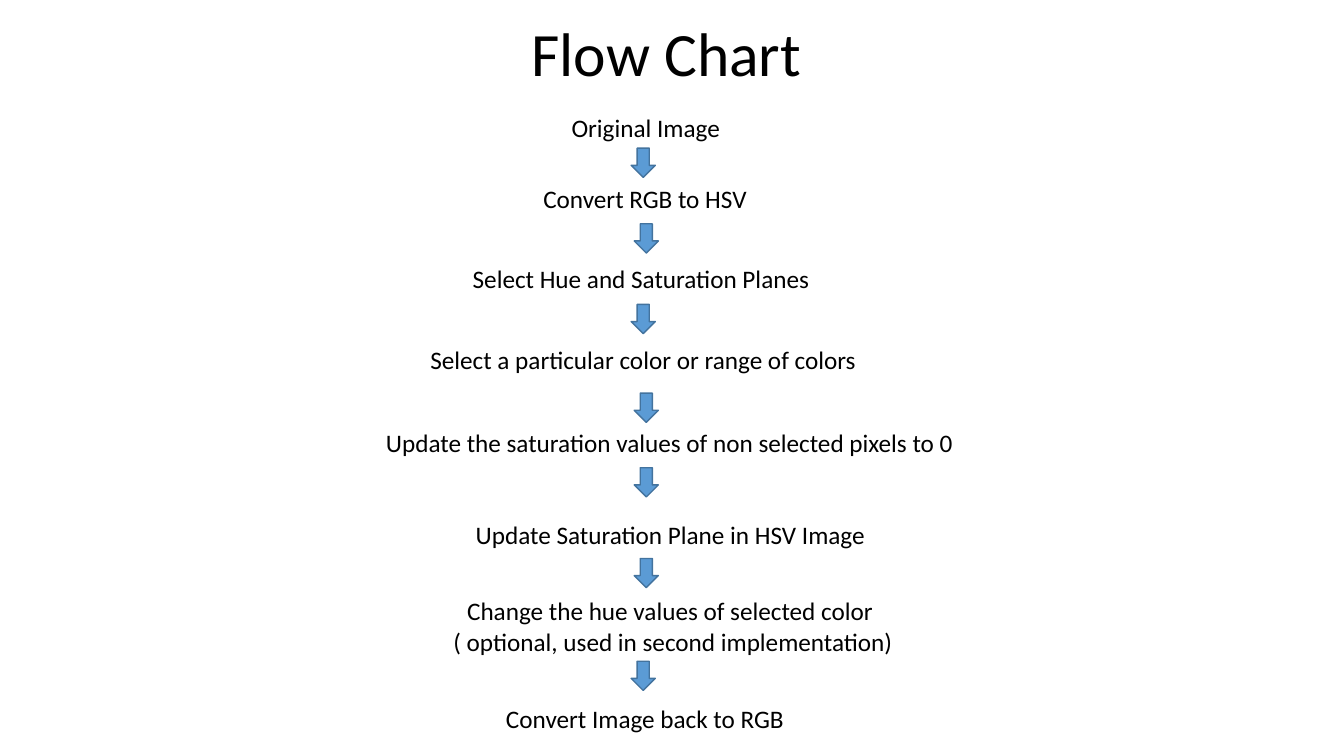
from pptx import Presentation
from pptx.dml.color import RGBColor
from pptx.enum.shapes import MSO_SHAPE
from pptx.enum.text import MSO_ANCHOR, PP_ALIGN
from pptx.util import Inches, Pt

COLORS = {"text": "000000", "arrow": "5B9BD5", "outline": "43739E"}

deck = Presentation()
deck.slide_width = Inches(13.33)
deck.slide_height = Inches(7.5)
page = deck.slides.add_slide(deck.slide_layouts[6])


def add_text(text, left, top, width, height=0.4, size=18, wrap=False,
             align=PP_ALIGN.LEFT, anchor=MSO_ANCHOR.TOP, spacing=1.0):
    box = page.shapes.add_textbox(Inches(left), Inches(top), Inches(width), Inches(height))
    frame = box.text_frame
    frame.word_wrap = wrap
    frame.vertical_anchor = anchor
    frame.text = text
    for para in frame.paragraphs:
        para.alignment = align
        para.line_spacing = spacing
        for span in para.runs:
            span.font.name = "Calibri"
            span.font.size = Pt(size)
            span.font.color.rgb = RGBColor.from_string(COLORS["text"])


add_text("Flow Chart", 0, 0, 13.22, height=1.13, size=44, wrap=True,
         align=PP_ALIGN.CENTER, anchor=MSO_ANCHOR.MIDDLE, spacing=0.9)

steps = [
    ("Original Image", 5.57, 1.07, 1.69),
    ("Convert RGB to HSV", 5.29, 1.77, 2.24),
    ("Select Hue and Saturation Planes", 4.59, 2.56, 3.64),
    ("Select a particular color or range of colors", 4.17, 3.37, 4.47),
    ("Update the saturation values of non selected pixels to 0", 3.73, 4.19, 5.9),
    ("Update Saturation Plane in HSV Image", 4.62, 5.1, 4.11),
    ("Convert Image back to RGB", 4.92, 6.93, 2.99),
]
for text, left, top, width in steps:
    add_text(text, left, top, width)

add_text("Change the hue values of selected color \n( optional, used in second implementation)",
         3.34, 5.86, 6.67, height=0.71, wrap=True, align=PP_ALIGN.CENTER)

arrows = [(6.26, 1.47), (6.29, 2.22), (6.26, 3.02), (6.29, 3.9),
          (6.29, 4.64), (6.29, 5.54), (6.26, 6.56)]
for left, top in arrows:
    arrow = page.shapes.add_shape(MSO_SHAPE.DOWN_ARROW, Inches(left), Inches(top),
                                  Inches(0.24), Inches(0.29))
    arrow.shadow.inherit = False
    arrow.fill.solid()
    arrow.fill.fore_color.rgb = RGBColor.from_string(COLORS["arrow"])
    arrow.line.color.rgb = RGBColor.from_string(COLORS["outline"])
    arrow.line.width = Pt(1)

deck.save("out.pptx")
